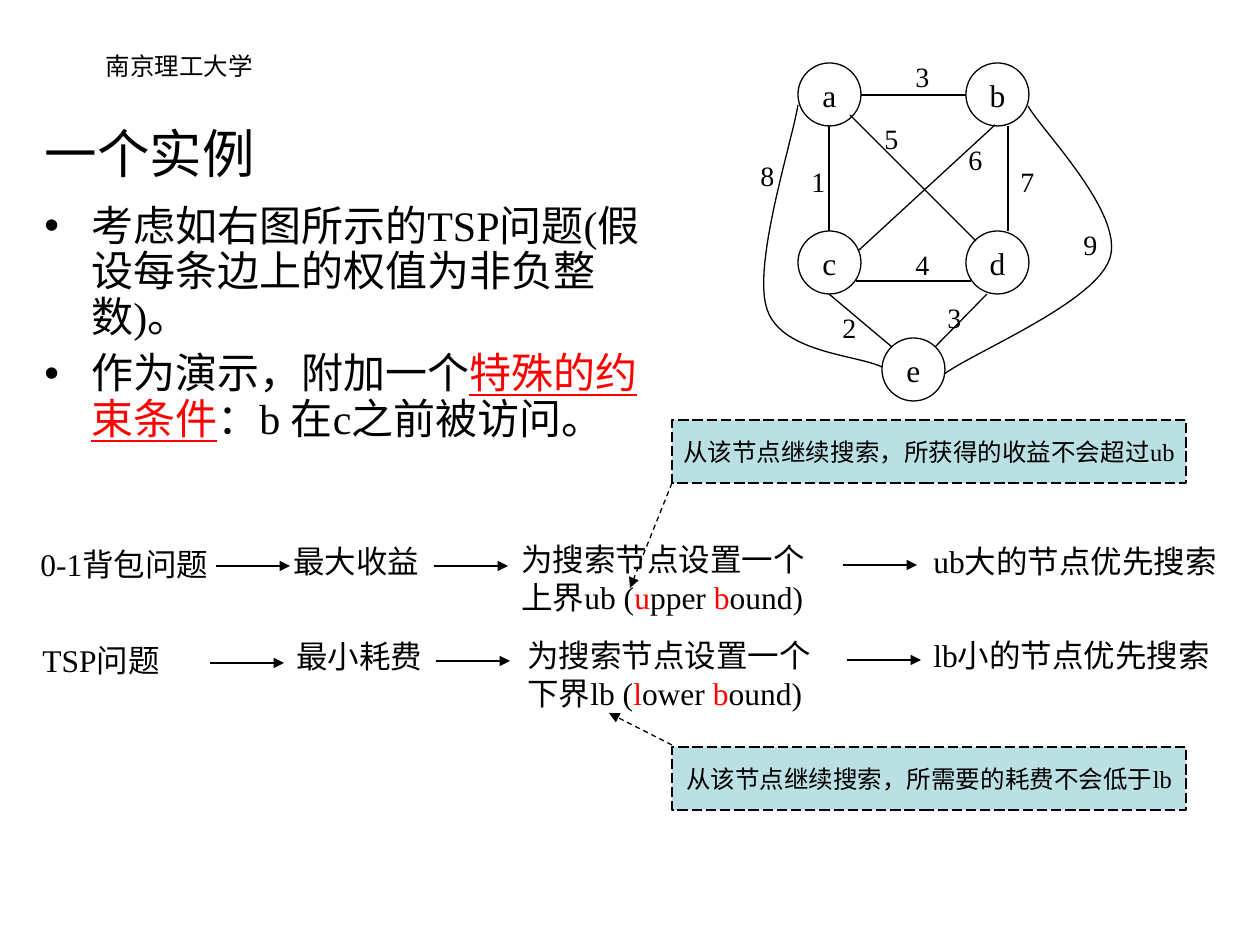
from itertools import pairwise

from lxml.etree import SubElement
from pptx import Presentation
from pptx.dml.color import RGBColor
from pptx.enum.dml import MSO_LINE as Dash
from pptx.enum.shapes import MSO_CONNECTOR as Connector, MSO_SHAPE as Shape
from pptx.enum.text import MSO_ANCHOR as Anchor, MSO_AUTO_SIZE as AutoSize, PP_ALIGN as Align
from pptx.oxml.ns import qn
from pptx.util import Pt

PX = 914400 / 126
COLOURS = {"ink": "000000", "key": "FF0000", "node": "FFFFFF", "note": "BBE0E3"}
SERIF = "Times New Roman"


def px(*lengths):
    return [round(length * PX) for length in lengths]


def colour(name):
    return RGBColor.from_string(COLOURS[name])


def fill_para(para, spans, size, font=SERIF, align=Align.LEFT):
    """Write the spans in turn; every second one is a highlighted key."""
    para.alignment = align
    para.font.size = Pt(size)
    para.font.name = font
    para.font.color.rgb = colour("ink")
    for index, text in enumerate(spans):
        span = para.add_run()
        span.text = text
        if index % 2:
            span.font.color.rgb = colour("key")


def add_label(page, box, paras, size, **style):
    label = page.shapes.add_textbox(*px(*box))
    frame = label.text_frame
    frame.word_wrap = False
    frame.auto_size = AutoSize.SHAPE_TO_FIT_TEXT
    for index, spans in enumerate(paras):
        para = frame.add_paragraph() if index else frame.paragraphs[0]
        fill_para(para, spans, size, **style)
    return label


def style_line(line, dash=None):
    line.color.rgb = colour("ink")
    line.width = Pt(0.75)
    if dash:
        line.dash_style = dash


def add_line(page, start, end, arrow=False, dash=None):
    line = page.shapes.add_connector(Connector.STRAIGHT, *px(*start, *end))
    style_line(line.line, dash)
    properties = line._element.spPr
    if arrow:
        SubElement(properties.find(qn("a:ln")), qn("a:tailEnd"), type="triangle")
    SubElement(properties, qn("a:effectLst"))


def add_filled(page, kind, box, text, size, fill, dash=None):
    shape = page.shapes.add_shape(kind, *px(*box))
    shape.shadow.inherit = False
    shape.fill.solid()
    shape.fill.fore_color.rgb = colour(fill)
    style_line(shape.line, dash)
    frame = shape.text_frame
    frame.word_wrap = False
    frame.vertical_anchor = Anchor.MIDDLE
    fill_para(frame.paragraphs[0], [text], size, align=Align.CENTER)


def bezier(points, steps=24):
    """Points along one cubic curve, without its start."""
    for step in range(1, steps + 1):
        t = step / steps
        weights = ((1 - t) ** 3, 3 * t * (1 - t) ** 2, 3 * t * t * (1 - t), t ** 3)
        yield tuple(sum(w * p[axis] for w, p in zip(weights, points)) for axis in (0, 1))


def add_curve(page, left, top, points):
    points = [(left + x, top + y) for x, y in points]
    builder = page.shapes.build_freeform(*px(*points[0]), scale=1)
    for first, last in pairwise(range(0, len(points), 3)):
        arc = bezier(points[first:last + 1])
        builder.add_line_segments([px(*point) for point in arc], close=False)
    curve = builder.convert_to_shape()
    curve.shadow.inherit = False
    curve.fill.background()
    style_line(curve.line)


def add_heading(page, box):
    left, top, width, height = box
    school = add_label(page, (left - 52, top - 29, 399, 66), [["南京理工大学"]], 14,
                       font="Arial", align=Align.CENTER)
    school.text_frame.auto_size = AutoSize.NONE
    school.text_frame.word_wrap = True
    title = page.shapes.title
    title.left, title.top, title.width, title.height = px(left, top, width, height)
    title.text_frame.auto_size = AutoSize.NONE
    title.text_frame.vertical_anchor = Anchor.MIDDLE
    fill_para(title.text_frame.paragraphs[0], ["一个实例"], 30)


def add_points(page, box):
    frame = page.shapes.add_textbox(*px(*box)).text_frame
    frame.word_wrap = True
    points = [
        ["考虑如右图所示的TSP问题(假设每条边上的权值为非负整数)。"],
        ["作为演示，附加一个", "特殊的约束条件", "：b 在c之前被访问。"],
    ]
    indent, = px(47)
    for index, spans in enumerate(points):
        para = frame.add_paragraph() if index else frame.paragraphs[0]
        para.line_spacing = 0.9
        if index:
            para.space_before = Pt(6.5)
        properties = para._p.get_or_add_pPr()
        properties.set("marL", str(indent))
        properties.set("indent", str(-indent))
        SubElement(properties, qn("a:buFont"), typeface="Arial")
        SubElement(properties, qn("a:buChar"), char="•")
        fill_para(para, spans, 24)
        for key in para.runs[1::2]:
            key.font.underline = True


def add_graph(page, left, top):
    nodes = {"a": (50, 10), "b": (218, 10), "c": (50, 178), "d": (218, 178), "e": (134, 285)}
    edges = [
        ((113, 42), (218, 42)), ((102, 62), (228, 188)), ((110, 198), (247, 72)),
        ((81, 73), (81, 178)), ((260, 73), (260, 178)), ((108, 228), (223, 228)),
        ((81, 241), (144, 294)), ((239, 241), (187, 294)),
    ]
    curves = [
        [(50, 52), (45, 86), (4, 212), (19, 256), (33, 300), (110, 302), (134, 314)],
        [(280, 53), (294, 78), (376, 160), (362, 205), (348, 249), (230, 297), (196, 321)],
    ]
    weights = [
        ("3", 155, 0), ("8", 0, 99), ("1", 51, 105), ("5", 124, 62), ("6", 208, 83),
        ("7", 260, 105), ("9", 323, 168), ("3", 187, 241), ("2", 82, 251), ("4", 155, 188),
    ]
    for name, (x, y) in nodes.items():
        add_filled(page, Shape.OVAL, (left + x, top + y, 63, 63), name, 18, "node")
    for (x1, y1), (x2, y2) in edges:
        add_line(page, (left + x1, top + y1), (left + x2, top + y2))
    for points in curves:
        add_curve(page, left, top, points)
    for weight, x, y in weights:
        add_label(page, (left + x, top + y, 39, 47), [[weight]], 16)


def add_strategy(page, left, top, cells, arrows):
    """A row of steps (x, y, width, paragraphs) joined by arrows (x, y)."""
    for x, y, width, paras in cells:
        height = 12 + 38 * len(paras)
        add_label(page, (left + x, top + y, width, height), paras, 18)
    for x, y in arrows:
        add_line(page, (left + x, top + y), (left + x + 74, top + y), arrow=True)


def add_note(page, box, text, start, end):
    left, top = box[:2]
    add_filled(page, Shape.RECTANGLE, box, text, 14, "note", Dash.LONG_DASH)
    add_line(page, (left + start[0], top + start[1]), (left + end[0], top + end[1]),
             arrow=True, dash=Dash.DASH)


def main():
    deck = Presentation()
    deck.slide_width, deck.slide_height = px(1260, 945)
    page = deck.slides.add_slide(deck.slide_layouts[5])
    add_heading(page, (32, 74, 1134, 158))
    add_points(page, (32, 199, 640, 294))
    bound = "为搜索节点设置一个"
    add_strategy(page, 28, 534, [
        (0, 5, 200, [["0-1背包问题"]]),
        (253, 2, 151, [["最大收益"]]),
        (481, 0, 323, [[bound], ["上界ub (", "u", "pper ", "b", "ound)"]]),
        (893, 2, 316, [["ub大的节点优先搜索"]]),
    ], [(188, 32), (406, 32), (815, 31)])
    add_strategy(page, 28, 630, [
        (2, 5, 150, [["TSP问题"]]),
        (256, 1, 151, [["最小耗费"]]),
        (487, 0, 309, [[bound], ["下界lb (", "l", "ower ", "b", "ound)"]]),
        (893, 0, 309, [["lb小的节点优先搜索"]]),
    ], [(182, 33), (408, 31), (819, 30)])
    add_graph(page, 748, 53)
    add_note(page, (672, 420, 514, 63), "从该节点继续搜索，所获得的收益不会超过ub",
             (0, 63), (-42, 168))
    add_note(page, (672, 747, 514, 63), "从该节点继续搜索，所需要的耗费不会低于lb",
             (0, -2), (-63, -34))
    deck.save("out.pptx")


if __name__ == "__main__":
    main()
